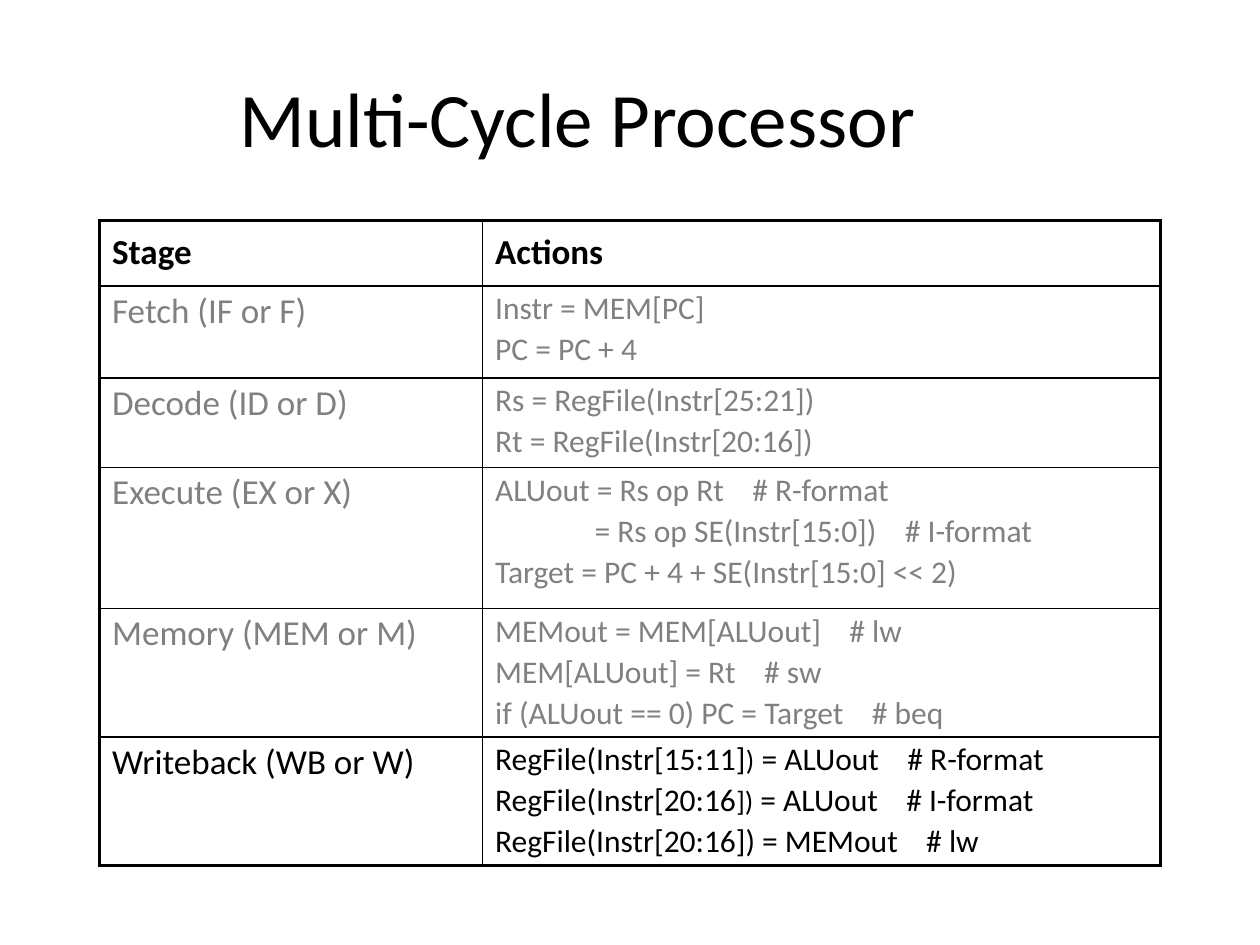
from dataclasses import dataclass
from lxml.etree import SubElement
from pptx import Presentation
from pptx.dml.color import RGBColor
from pptx.enum.text import MSO_ANCHOR, PP_ALIGN
from pptx.oxml.ns import qn
from pptx.util import Inches, Pt


@dataclass(frozen=True)
class Theme:
    font: str = "Calibri"
    ink: str = "000000"
    dim: str = "808080"
    title: int = 44
    stage: int = 20
    action: int = 18
    small: int = 16
    thin: float = 1
    thick: float = 2.25
    leading: float = 0.9
    gap: float = 0.2


THEME = Theme()
COLS = (3.04, 5.38)
HEIGHTS = (0.52, 0.73, 0.71, 1.12, 1.02, 1.02)
STAGES = (
    ("Stage", ["Actions"]),
    ("Fetch (IF or F)", ["Instr = MEM[PC]", "PC = PC + 4"]),
    ("Decode (ID or D)", ["Rs = RegFile(Instr[25:21])", "Rt = RegFile(Instr[20:16])"]),
    ("Execute (EX or X)", [
        "ALUout = Rs op Rt    # R-format",
        "              = Rs op SE(Instr[15:0])    # I-format",
        "Target = PC + 4 + SE(Instr[15:0] << 2)",
    ]),
    ("Memory (MEM or M)", [
        "MEMout = MEM[ALUout]    # lw",
        "MEM[ALUout] = Rt    # sw",
        "if (ALUout == 0) PC = Target    # beq",
    ]),
    ("Writeback (WB or W)", [
        ("RegFile(Instr[15:11]", ")", " = ALUout    # R-format"),
        ("RegFile(Instr[20:16", "])", " = ALUout    # I-format"),
        "RegFile(Instr[20:16]) = MEMout    # lw",
    ]),
)


def style(para, size, color, bold=False):
    font = para.font
    font.name = THEME.font
    font.size = Pt(size)
    font.bold = bold
    font.color.rgb = RGBColor.from_string(color)


def write(cell, lines, size, color, bold):
    frame = cell.text_frame
    for i, line in enumerate(lines):
        para = frame.add_paragraph() if i else frame.paragraphs[0]
        para.line_spacing = THEME.leading
        if i:
            para.space_before = Pt(size * THEME.gap)
        parts = (line,) if isinstance(line, str) else line
        for j, part in enumerate(parts):
            run = para.add_run()
            run.text = part
            if j % 2:
                run.font.size = Pt(THEME.small)
        style(para, size, color, bold)


def border(cell, edges):
    props = cell._tc.get_or_add_tcPr()
    for i, (side, outer) in enumerate(edges):
        width = THEME.thick if outer else THEME.thin
        line = SubElement(props, qn("a:ln" + side), w=str(Pt(width)))
        fill = SubElement(line, qn("a:solidFill"))
        SubElement(fill, qn("a:srgbClr"), val=THEME.ink)
        props.insert(i, line)


def add_title(slide, left, top, width, height):
    box = slide.shapes.add_textbox(left, top, width, height)
    frame = box.text_frame
    frame.word_wrap = True
    frame.vertical_anchor = MSO_ANCHOR.MIDDLE
    para = frame.paragraphs[0]
    para.text = "Multi-Cycle Processor"
    para.alignment = PP_ALIGN.CENTER
    style(para, THEME.title, THEME.ink)


def add_stages(slide, left, top, width, height):
    table = slide.shapes.add_table(len(STAGES), len(COLS), left, top, width, height).table
    table.first_row = table.horz_banding = False
    for col, part in zip(table.columns, COLS):
        col.width = int(width * part / sum(COLS))
    for row, part in zip(table.rows, HEIGHTS):
        row.height = int(height * part / sum(HEIGHTS))
    last = len(STAGES) - 1
    for r, (stage, actions) in enumerate(STAGES):
        head = r == 0
        color = THEME.ink if r in (0, last) else THEME.dim
        for c, lines in enumerate(([stage], actions)):
            cell = table.cell(r, c)
            cell.fill.background()
            cell.vertical_anchor = MSO_ANCHOR.MIDDLE if head else MSO_ANCHOR.TOP
            size = THEME.action if c and not head else THEME.stage
            write(cell, lines, size, color, head)
            border(cell, (("L", c == 0), ("R", c == 1), ("T", head), ("B", r == last)))


def main():
    deck = Presentation()
    deck.slide_width, deck.slide_height = Inches(10), Inches(7.5)
    slide = deck.slides.add_slide(deck.slide_layouts[6])
    add_title(slide, Inches(0.5), Inches(0.3), Inches(8.17), Inches(1.25))
    add_stages(slide, Inches(0.79), Inches(1.75), Inches(sum(COLS)), Inches(sum(HEIGHTS)))
    deck.save("out.pptx")


if __name__ == "__main__":
    main()
